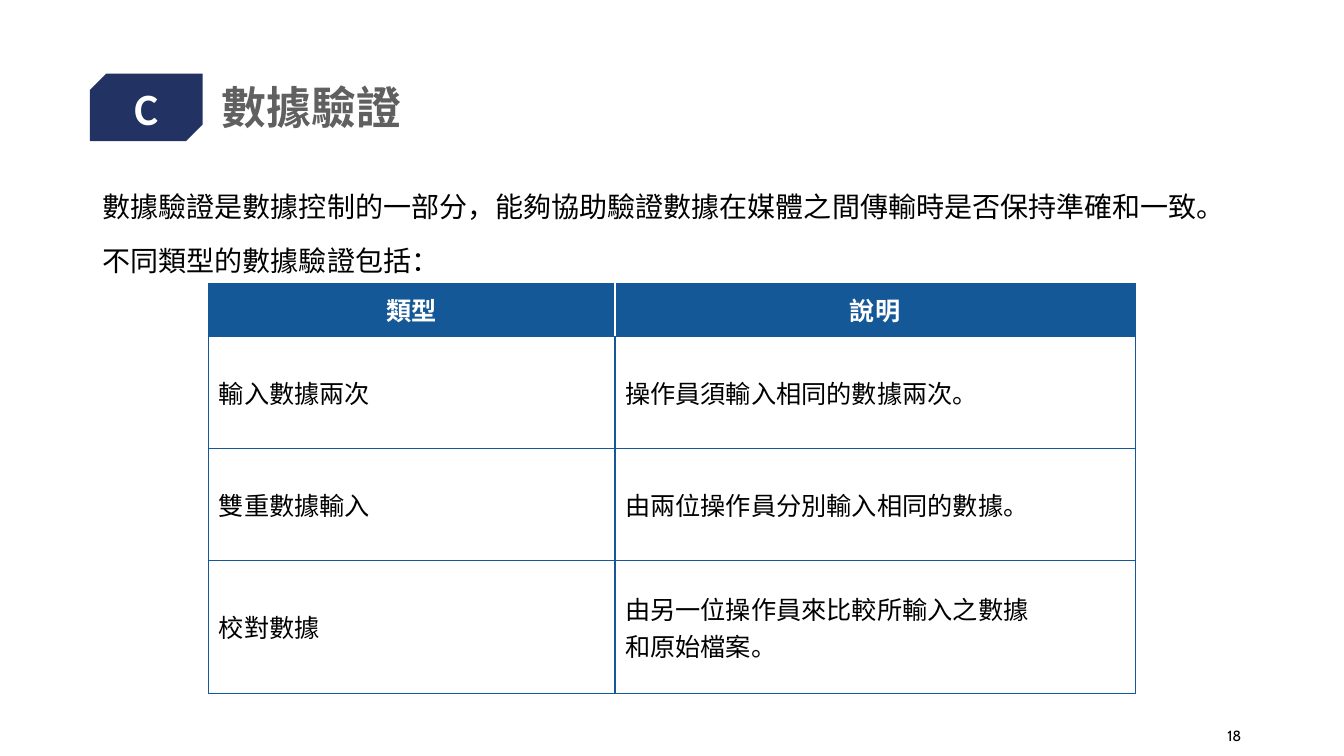
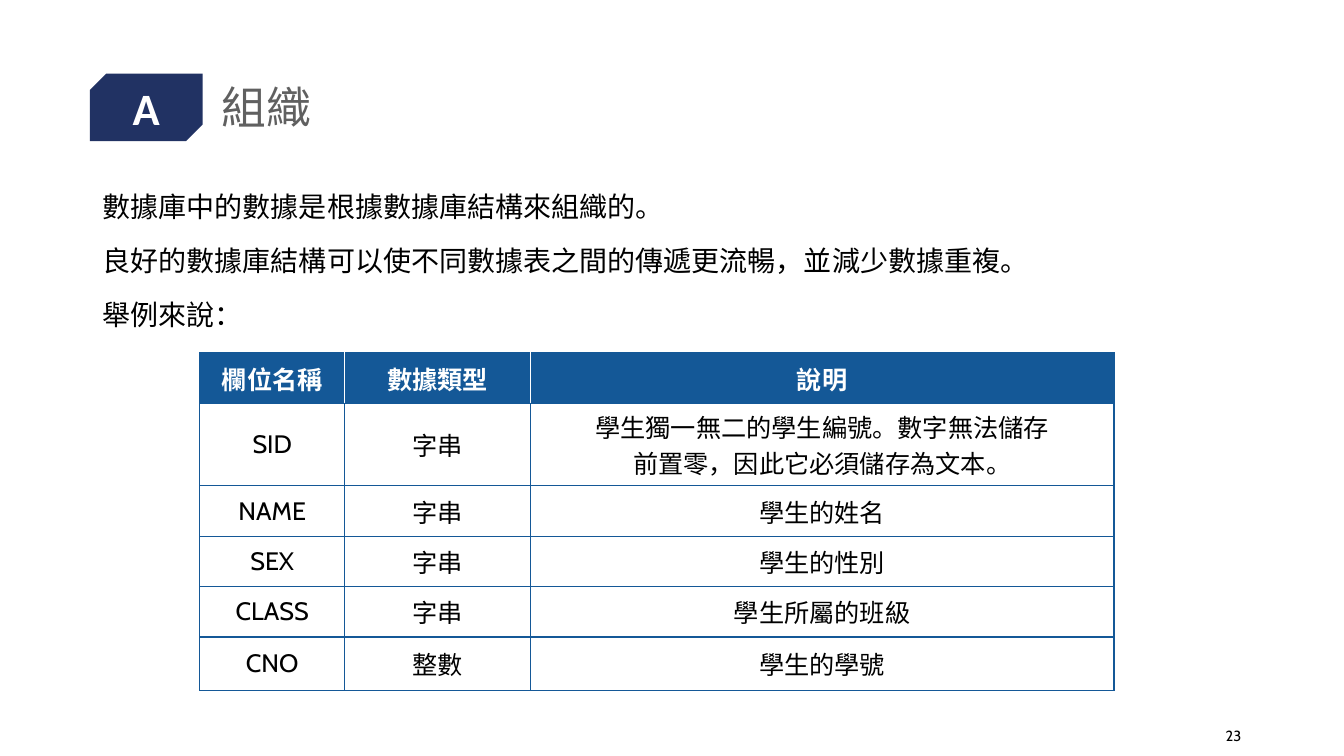
from lxml import etree
from pptx import Presentation
from pptx.dml.color import RGBColor
from pptx.enum.shapes import MSO_SHAPE
from pptx.enum.text import MSO_ANCHOR, PP_ALIGN
from pptx.oxml.ns import qn
from pptx.util import Inches, Pt

BADGE_SHAPE = MSO_SHAPE.SNIP_2_DIAG_RECTANGLE
TOP, MIDDLE = MSO_ANCHOR.TOP, MSO_ANCHOR.MIDDLE
LEFT, CENTER, RIGHT = PP_ALIGN.LEFT, PP_ALIGN.CENTER, PP_ALIGN.RIGHT

NAVY, BLUE, GREY = "213263", "145897", "606060"
WHITE, BLACK = "FFFFFF", "000000"
CJK_FONT, LATIN_FONT, BADGE_FONT = "Noto Sans CJK TC", "Cabin", "Calibri"


def rgb(hex_color):
    return RGBColor.from_string(hex_color)


def write(frame, lines, size, color, bold=False, align=LEFT, font=None,
          line_spacing=None, gap=0):
    """Fill a text frame with one paragraph per line; gap separates them."""
    frame.text = "\n".join(lines)
    for index, paragraph in enumerate(frame.paragraphs):
        paragraph.alignment = align
        if line_spacing:
            paragraph.line_spacing = line_spacing
        if index and gap:
            paragraph.space_before = Pt(gap)
        for run in paragraph.runs:
            typeface = font or (LATIN_FONT if run.text.isascii() else CJK_FONT)
            run.font.size = Pt(size)
            run.font.bold = bold
            run.font.color.rgb = rgb(color)
            run.font.name = typeface
            east_asian = etree.SubElement(run.font._element, qn("a:ea"))
            east_asian.set("typeface", typeface)


def add_text(slide, box, lines, size, color, anchor=MIDDLE, **style):
    frame = slide.shapes.add_textbox(*map(Inches, box)).text_frame
    frame.word_wrap = True
    frame.vertical_anchor = anchor
    write(frame, lines, size, color, **style)


def add_badge(slide, letter):
    badge = slide.shapes.add_shape(
        BADGE_SHAPE, Inches(0.89), Inches(0.73), Inches(1.12), Inches(0.67))
    badge.adjustments[0] = 0.245
    badge.adjustments[1] = 0
    badge.shadow.inherit = False
    badge.fill.solid()
    badge.fill.fore_color.rgb = rgb(NAVY)
    badge.line.fill.background()
    frame = badge.text_frame
    frame.margin_left = frame.margin_right = 0
    frame.margin_top = frame.margin_bottom = 0
    frame.vertical_anchor = MIDDLE
    write(frame, [letter], 32, WHITE, bold=True, align=CENTER, font=BADGE_FONT)


def set_borders(cell, left, right):
    """Draw 1 pt borders; top and bottom are always blue."""
    properties = cell._tc.get_or_add_tcPr()
    sides = {"a:lnL": left, "a:lnR": right, "a:lnT": BLUE, "a:lnB": BLUE}
    for tag, color in sides.items():
        line = etree.SubElement(properties, qn(tag), w=str(Pt(1)))
        fill = etree.SubElement(line, qn("a:solidFill"))
        etree.SubElement(fill, qn("a:srgbClr"), val=color)


def add_data_table(slide, left, top, widths, heights, rows, body_align):
    """Add a table with a blue header row; a line break starts a paragraph."""
    table = slide.shapes.add_table(
        len(rows), len(widths), Inches(left), Inches(top),
        Inches(sum(widths)), Inches(sum(heights))).table
    table.horz_banding = False
    for column, width in zip(table.columns, widths):
        column.width = Inches(width)
    for row, height in zip(table.rows, heights):
        row.height = Inches(height)

    last = len(widths) - 1
    for r, texts in enumerate(rows):
        header = r == 0
        divider = WHITE if header else BLUE
        for c, text in enumerate(texts):
            cell = table.cell(r, c)
            cell.vertical_anchor = MIDDLE
            set_borders(cell, BLUE if c == 0 else divider,
                        BLUE if c == last else divider)
            if header:
                cell.fill.solid()
                cell.fill.fore_color.rgb = rgb(BLUE)
            else:
                cell.fill.background()
            write(cell.text_frame, text.split("\n"), 18,
                  WHITE if header else BLACK, bold=header,
                  align=CENTER if header else body_align)


def add_section_slide(deck, letter, title, page, body, bold_title=False):
    """Add a slide with badge, title, page number and body paragraphs."""
    slide = deck.slides.add_slide(deck.slide_layouts[6])
    add_badge(slide, letter)
    add_text(slide, (2.1, 0.4, 10.32, 1.38), [title], 32, GREY,
             bold=bold_title, line_spacing=0.9)
    add_text(slide, (11.57, 7.1, 0.84, 0.4), [page], 10.5, BLACK, align=RIGHT)
    add_text(slide, (0.92, 1.76, 11.5, 5.12), body, 20, BLACK, anchor=TOP,
             line_spacing=1.2, gap=10)
    return slide


def main():
    deck = Presentation()
    deck.slide_width, deck.slide_height = Inches(13.33), Inches(7.5)

    validation = add_section_slide(deck, "C", "數據驗證", "18", [
        "數據驗證是數據控制的一部分，能夠協助驗證數據在媒體之間傳輸時是否保持準確和一致。",
        "不同類型的數據驗證包括：",
    ], bold_title=True)
    add_data_table(
        validation, 2.07, 2.81, [4.03, 5.16], [0.53, 1.11, 1.11, 1.32], [
            ("類型", "說明"),
            ("輸入數據兩次", "操作員須輸入相同的數據兩次。"),
            ("雙重數據輸入", "由兩位操作員分別輸入相同的數據。"),
            ("校對數據", "由另一位操作員來比較所輸入之數據\n和原始檔案。"),
        ], LEFT)

    organisation = add_section_slide(deck, "A", "組織", "23", [
        "數據庫中的數據是根據數據庫結構來組織的。",
        "良好的數據庫結構可以使不同數據表之間的傳遞更流暢，並減少數據重複。",
        "舉例來說：",
    ])
    add_data_table(
        organisation, 1.98, 3.5, [1.44, 1.84, 5.79],
        [0.5, 0.82, 0.5, 0.5, 0.5, 0.53], [
            ("欄位名稱", "數據類型", "說明"),
            ("SID", "字串",
             "學生獨一無二的學生編號。數字無法儲存\n前置零，因此它必須儲存為文本。"),
            ("NAME", "字串", "學生的姓名"),
            ("SEX", "字串", "學生的性別"),
            ("CLASS", "字串", "學生所屬的班級"),
            ("CNO", "整數", "學生的學號"),
        ], CENTER)

    deck.save("out.pptx")


if __name__ == "__main__":
    main()
